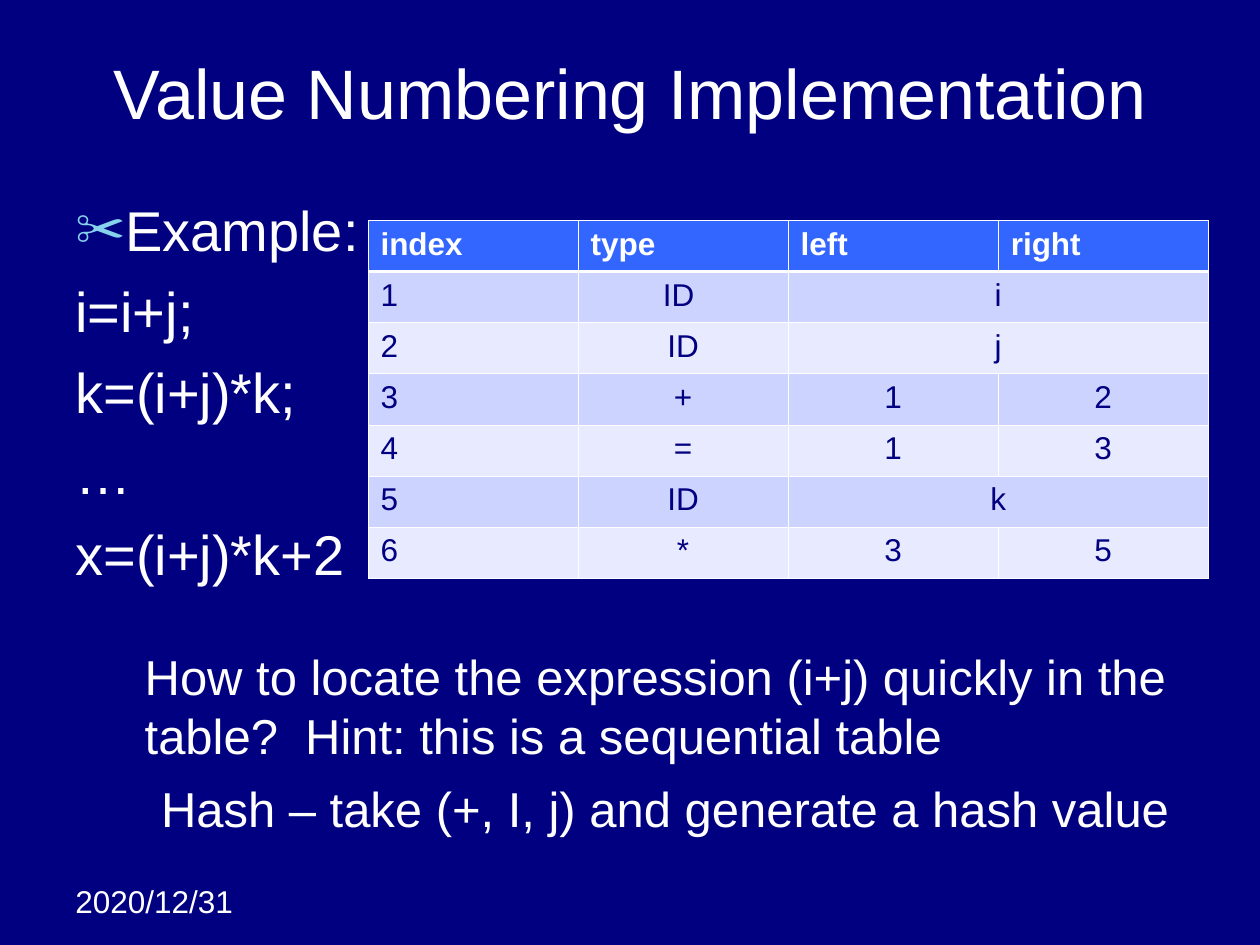
import pptx
import pptx.dml.color
import pptx.enum.text
import pptx.oxml
import pptx.oxml.ns
import pptx.util

Inches = pptx.util.Inches
Pt = pptx.util.Pt
ALIGN = pptx.enum.text.PP_ALIGN
ANCHOR = pptx.enum.text.MSO_ANCHOR
WHITE, NAVY, BLUE, SKY = "FFFFFF", "000080", "3366FF", "86D1EC"
BANDS = ("CDD3FF", "E8EAFF")

HEADINGS = ("index", "type", "left", "right")
ENTRIES = (
    ("1", "ID ", "i"),
    ("2", "ID", "j"),
    ("3", "+", "1", "2"),
    ("4", "=", "1", "3"),
    ("5", "ID", "k"),
    ("6", "*", "3", "5"),
)
STATEMENTS = ("Example:", "i=i+j;", "k=(i+j)*k;", "…", "x=(i+j)*k+2")
QUESTION = ("How to locate the expression (i+j) quickly in the",
            "table?  Hint: this is a sequential table")
ANSWER = ("Hash – take (+, I, j) and generate a hash value",)


def rgb(value):
    return pptx.dml.color.RGBColor.from_string(value)


def drawing_element(tag, inner="", attributes=""):
    return pptx.oxml.parse_xml(
        f'<a:{tag} {pptx.oxml.ns.nsdecls("a")} {attributes}>{inner}</a:{tag}>')


def solid(color):
    return f'<a:solidFill><a:srgbClr val="{color}"/></a:solidFill>'


def style(paragraph, size, color=WHITE, bold=False, align=ALIGN.LEFT):
    paragraph.alignment = align
    for run in paragraph.runs:
        run.font.name = "Arial"
        run.font.size = Pt(size)
        run.font.bold = bold
        run.font.color.rgb = rgb(color)


def add_text(slide, box, lines, size, align=ALIGN.LEFT, anchor=ANCHOR.TOP, wrap=True):
    frame = slide.shapes.add_textbox(*map(Inches, box)).text_frame
    frame.word_wrap = wrap
    frame.vertical_anchor = anchor
    frame.text = "\n".join(lines)
    for paragraph in frame.paragraphs:
        style(paragraph, size, align=align)
    return frame


def add_example(slide, box):
    statements = add_text(slide, box, STATEMENTS, 32).paragraphs
    for statement in statements:
        statement.space_before = Pt(8)
        properties = statement._p.get_or_add_pPr()
        properties.set("marL", str(Inches(0.38)))
        properties.set("indent", str(-Inches(0.38)))
    properties = statements[0]._p.get_or_add_pPr()
    properties.append(drawing_element("buClr", f'<a:srgbClr val="{SKY}"/>'))
    properties.append(drawing_element("buSzPct", attributes='val="90000"'))
    properties.append(drawing_element("buFont", attributes='typeface="Arial"'))
    properties.append(drawing_element("buChar", attributes='char="✂"'))


def set_borders(cell, top, bottom):
    properties = cell._tc.get_or_add_tcPr()
    widths = (("lnL", 0.45), ("lnR", 0.45), ("lnT", top), ("lnB", bottom))
    for position, (side, width) in enumerate(widths):
        border = drawing_element(side, solid(WHITE), f'w="{Pt(width)}"')
        properties.insert(position, border)


def add_value_table(slide, box):
    rows = (HEADINGS,) + ENTRIES
    table = slide.shapes.add_table(
        len(rows), len(HEADINGS), *map(Inches, box)).table
    for column in table.columns:
        column.width = Inches(box[2] / len(HEADINGS))
    for r, values in enumerate(rows):
        table.rows[r].height = Inches(box[3] / len(rows))
        header = r == 0
        for c in range(len(HEADINGS)):
            cell = table.cell(r, c)
            cell.fill.solid()
            cell.fill.fore_color.rgb = rgb(BLUE if header else BANDS[(r - 1) % 2])
            set_borders(cell, 1.47 if r == 1 else 0.45, 1.47 if header else 0.45)
        for c, value in enumerate(values):
            cell = table.cell(r, c)
            cell.text_frame.text = value
            style(cell.text_frame.paragraphs[0], 18, WHITE if header else NAVY,
                  header, ALIGN.LEFT if header or c == 0 else ALIGN.CENTER)
        if len(values) < len(HEADINGS):
            table.cell(r, len(values) - 1).merge(table.cell(r, len(HEADINGS) - 1))


def main():
    deck = pptx.Presentation()
    deck.slide_width, deck.slide_height = Inches(10), Inches(7.5)
    slide = deck.slides.add_slide(deck.slide_layouts[6])
    slide.background.fill.solid()
    slide.background.fill.fore_color.rgb = rgb(NAVY)
    add_text(slide, (0.5, 6.95, 1.58, 0.4), ("2020/12/31",), 18)
    add_text(slide, (0.5, 0.3, 9, 0.86), ("Value Numbering Implementation",), 40,
             ALIGN.CENTER, ANCHOR.MIDDLE)
    add_example(slide, (0.5, 1.5, 2.67, 5.2))
    add_value_table(slide, (2.92, 1.75, 6.67, 2.84))
    add_text(slide, (1.05, 5.08, 8.35, 1.04), QUESTION, 28)
    add_text(slide, (1.18, 6.13, 8.35, 0.57), ANSWER, 28)
    deck.save("out.pptx")


if __name__ == "__main__":
    main()
